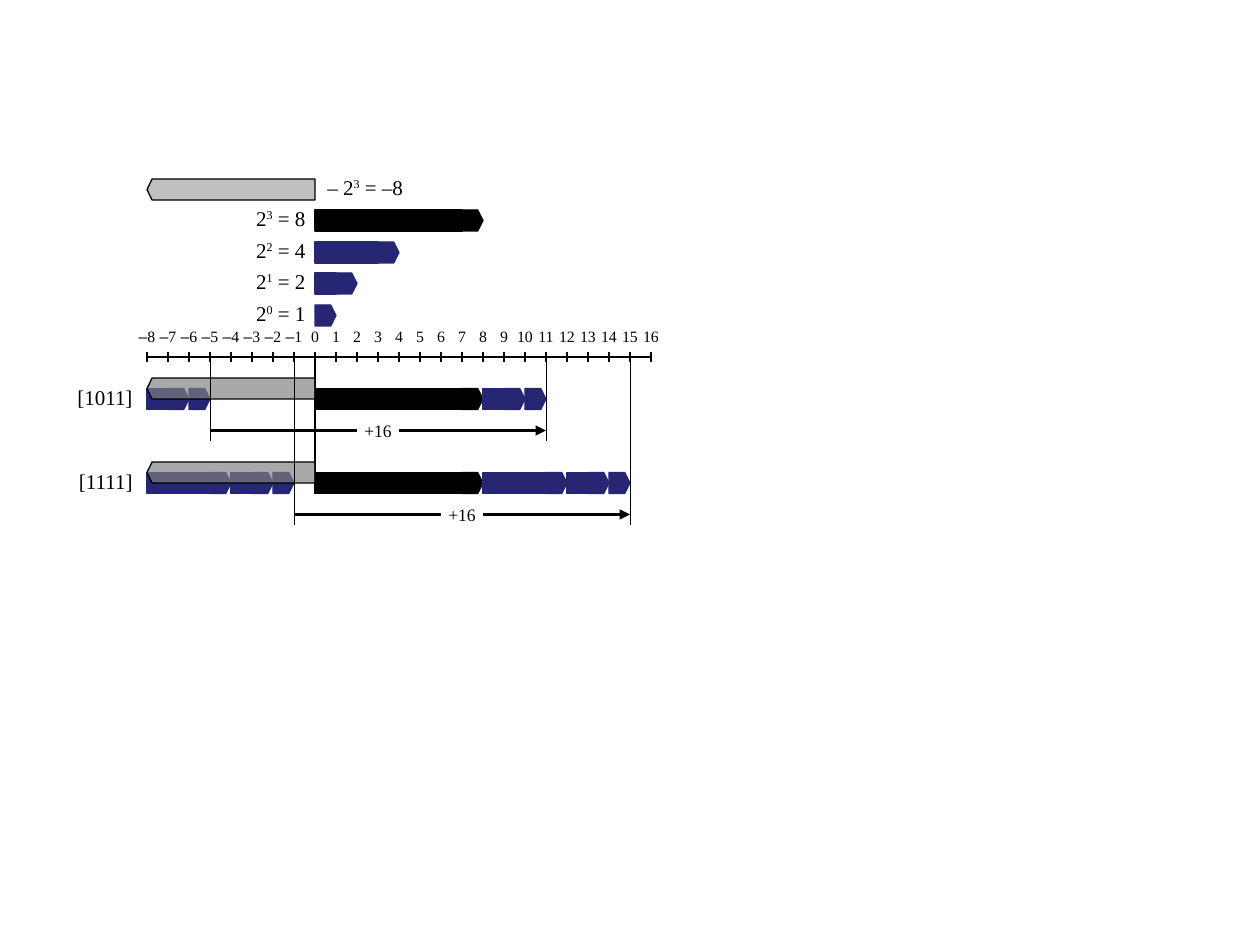
from lxml.etree import SubElement
from pptx import Presentation
from pptx.dml.color import RGBColor
from pptx.enum.shapes import MSO_CONNECTOR as CONN, MSO_SHAPE as SHAPE
from pptx.enum.text import MSO_ANCHOR as ANCHOR, PP_ALIGN as ALIGN
from pptx.oxml.ns import qn
from pptx.util import Pt

PX = 7257  # EMU per px at 126 px to the inch
UNIT = 21  # px for one step of the number line, and bar height
LOW, HIGH = -8, 16
COLORS = {"ink": "000000", "paper": "FFFFFF", "bit": "262673",
          "sign": "C0C0C0", "veil": "808080"}
SERIF = "Times New Roman"


def emu(*lengths):
    return [round(v * PX) for v in lengths]


def rgb(name):
    return RGBColor.from_string(COLORS[name])


def add_text(sp, runs, size=12, align=ALIGN.LEFT, anchor=ANCHOR.TOP, inset=None):
    """Fill sp with runs of (text, font name, baseline in percent)."""
    tf = sp.text_frame
    tf.word_wrap = False
    tf.vertical_anchor = anchor
    if inset is not None:
        tf.margin_left = tf.margin_right = tf.margin_top = tf.margin_bottom = inset
    p = tf.paragraphs[0]
    p.alignment = align
    for text, font, baseline in runs:
        r = p.add_run()
        r.text = text
        r.font.name, r.font.size = font, Pt(size)
        r.font.color.rgb = rgb("ink")
        if baseline:
            r.font._element.set("baseline", str(baseline * 1000))


def add_label(slide, box, runs, **fmt):
    add_text(slide.shapes.add_textbox(*emu(*box)), runs, **fmt)


def add_line(slide, x1, y1, x2, y2, width=0.75, arrow=False):
    cn = slide.shapes.add_connector(CONN.STRAIGHT, *emu(x1, y1, x2, y2))
    cn.line.color.rgb = rgb("ink")
    cn.line.width = Pt(width)
    if arrow:
        SubElement(cn.line._get_or_add_ln(), qn("a:tailEnd"), type="triangle")
    SubElement(cn._element.spPr, qn("a:effectLst"))


def add_shape(slide, kind, box, fill, line=None, alpha=None):
    sp = slide.shapes.add_shape(kind, *emu(*box))
    sp.shadow.inherit = False
    sp.fill.solid()
    sp.fill.fore_color.rgb = rgb(fill)
    if alpha:
        color = sp._element.spPr.find(qn("a:solidFill"))[0]
        SubElement(color, qn("a:alpha"), val=str(alpha * 1000))
    if line:
        sp.line.color.rgb = rgb(line)
        sp.line.width = Pt(0.75)
    else:
        sp.line.fill.background()
    return sp


def add_bar(slide, x, y, value):
    """A bar of the given value: a body that ends in a one-unit tip."""
    color = "ink" if value == 8 else "bit"
    body = (value - 1) * UNIT
    tip = add_shape(slide, SHAPE.PENTAGON, (x + body, y, UNIT, UNIT), color, color)
    tip.adjustments[0] = 0.25
    if body:
        add_shape(slide, SHAPE.RECTANGLE, (x, y, body, UNIT), color, color)


def add_sign_bar(slide, x, y, fill, alpha=None):
    """The bar for -8, which points left."""
    sp = add_shape(slide, SHAPE.PENTAGON, (x, y, 8 * UNIT, UNIT), fill, "ink", alpha)
    sp.rotation = 180
    sp.adjustments[0] = 0.24


def powers(slide, left, top):
    """Bars and labels for the weight of each bit."""
    zero = left - LOW * UNIT
    add_sign_bar(slide, left, top, "sign")
    add_label(slide, (zero, top - 11, 102, 38),
              [("– 2", SERIF, 0), ("3", SERIF, 30), (" = –8", SERIF, 0)])
    for i, power in enumerate((3, 2, 1, 0), 1):
        y = top + 63 * i // 2
        add_bar(slide, zero, y, 2 ** power)
        add_label(slide, (zero - 73, y - 11, 76, 38),
                  [("2", SERIF, 0), (str(power), SERIF, 30),
                   (f" = {2 ** power}", SERIF, 0)], align=ALIGN.RIGHT)


def number_line(slide, left, top):
    """Axis with a tick and a number at each integer."""
    axis = top + 31
    for n in range(LOW, HIGH + 1):
        x = left + (n - LOW) * UNIT
        add_line(slide, x, axis - 5, x, axis + 5)
        runs = [("–", "Arial", 0)] if n < 0 else []
        add_label(slide, (x - UNIT / 2, top, UNIT, UNIT),
                  runs + [(str(abs(n)), SERIF, 0)], size=9,
                  align=ALIGN.CENTER, anchor=ANCHOR.MIDDLE, inset=0)
    add_line(slide, left, axis, left + (HIGH - LOW) * UNIT, axis)
    zero = left - LOW * UNIT
    add_line(slide, zero, axis, zero, axis + 137, width=1)


def bit_pattern(slide, left, top, axis, bits):
    """Signed and unsigned sums of one bit pattern, 16 apart."""
    add_label(slide, (left - 84, top, 82, 38), [(f"[{bits}]", SERIF, 0)],
              align=ALIGN.RIGHT)
    weights = [w for w, bit in zip((8, 4, 2, 1), bits) if bit == "1"]

    # Signed sum starts at -8, unsigned sum at 0
    for start, values in ((LOW, weights[1:]), (0, weights)):
        x = left + (start - LOW) * UNIT
        for value in values:
            add_bar(slide, x, top + 10.5, value)
            x += value * UNIT
    add_sign_bar(slide, left, top, "veil", alpha=67)

    # Guides and the arrow between the two sums
    x1 = left + sum(weights[1:]) * UNIT
    x2 = x1 + 16 * UNIT
    for x in (x1, x2):
        add_line(slide, x, axis, x, top + 63, width=0.5)
    add_line(slide, x1, top + 52.5, x2, top + 52.5, width=1.5, arrow=True)
    sp = add_shape(slide, SHAPE.RECTANGLE,
                   ((x1 + x2) / 2 - UNIT, top + 42, 2 * UNIT, UNIT), "paper")
    add_text(sp, [("+16", SERIF, 0)], size=10, align=ALIGN.CENTER,
             anchor=ANCHOR.MIDDLE, inset=0)


def main():
    prs = Presentation()
    prs.slide_width, prs.slide_height = emu(1260, 945)
    s = prs.slides.add_slide(prs.slide_layouts[6])
    left = 147
    powers(s, left, 179)
    number_line(s, left, 326)
    for i, bits in enumerate(("1011", "1111")):
        bit_pattern(s, left, 378 + 84 * i, 357, bits)
    prs.save("out.pptx")


if __name__ == "__main__":
    main()
